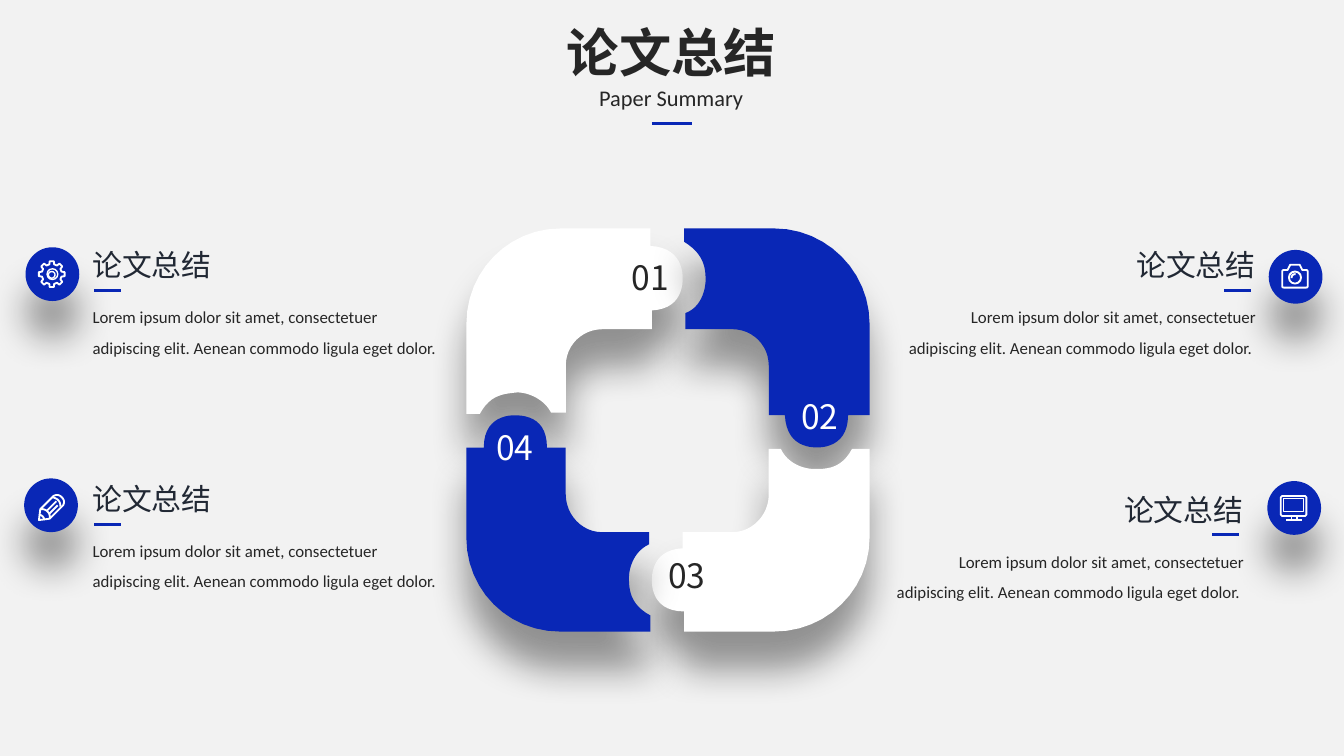
from math import cos, sin, radians
from lxml.etree import SubElement
from pptx import Presentation
from pptx.dml.color import RGBColor as RGB
from pptx.enum.shapes import MSO_CONNECTOR as LINK, MSO_SHAPE as FORM
from pptx.enum.text import MSO_AUTO_SIZE as FIT, PP_ALIGN as ALIGN
from pptx.oxml.ns import qn
from pptx.util import Inches, Pt

HUE = {"back": "F2F2F2", "blue": "0927B6", "white": "FFFFFF",
       "text": "262626", "head": "212834", "shade": "000000"}
CJK, SANS = "Noto Sans CJK SC", "Calibri"

HEAD = "论文总结"
SUB = "Paper Summary"
BODY = "Lorem ipsum dolor sit amet, consectetuer adipiscing elit. Aenean commodo ligula eget dolor."

PARTS = [
    ("01", 4.58, 1.86, "white", "text", [
        (4.17, 1.7), (4.84, 1.7), (4.84, 1.83), (5.04, 1.84, 5.08, 1.98, 5.08, 2.07),
        (5.08, 2.17, 5.04, 2.3, 4.85, 2.31), (4.85, 2.45), (4.48, 2.45),
        (4.33, 2.45, 4.21, 2.57, 4.21, 2.72), (4.21, 3.07), (4.1, 3.07),
        (4.05, 2.97, 3.93, 2.92, 3.85, 2.92), (3.76, 2.93, 3.65, 2.93, 3.57, 3.08),
        (3.47, 3.08), (3.47, 2.41), (3.47, 2.02, 3.78, 1.7, 4.17, 1.7)]),
    ("02", 5.84, 2.9, "blue", "white", [
        (5.09, 1.7), (5.76, 1.7), (6.15, 1.7, 6.47, 2.02, 6.47, 2.41), (6.47, 3.09),
        (6.31, 3.09), (6.31, 3.29, 6.17, 3.33, 6.08, 3.33),
        (5.98, 3.33, 5.85, 3.29, 5.84, 3.09), (5.72, 3.09), (5.72, 2.72),
        (5.72, 2.57, 5.6, 2.45, 5.45, 2.45), (5.1, 2.45), (5.1, 2.33),
        (5.21, 2.29, 5.25, 2.17, 5.25, 2.08), (5.25, 2, 5.24, 1.89, 5.09, 1.8), (5.09, 1.7)]),
    ("03", 4.85, 4.08, "white", "text", [
        (6.34, 3.34), (6.47, 3.34), (6.47, 4), (6.47, 4.39, 6.15, 4.7, 5.76, 4.7),
        (5.09, 4.7), (5.09, 4.55), (4.89, 4.55, 4.85, 4.41, 4.85, 4.32),
        (4.85, 4.22, 4.89, 4.09, 5.08, 4.08), (5.08, 3.96), (5.45, 3.96),
        (5.6, 3.96, 5.72, 3.83, 5.72, 3.68), (5.72, 3.34), (5.81, 3.34),
        (5.86, 3.45, 5.98, 3.49, 6.06, 3.49), (6.15, 3.49, 6.26, 3.49, 6.34, 3.34)]),
    ("04", 3.57, 3.13, "blue", "white", [
        (3.83, 3.09), (3.94, 3.09, 4.07, 3.13, 4.07, 3.33), (4.21, 3.33), (4.21, 3.68),
        (4.21, 3.83, 4.33, 3.96, 4.48, 3.96), (4.83, 3.96), (4.83, 4.05),
        (4.72, 4.1, 4.68, 4.22, 4.68, 4.3), (4.68, 4.39, 4.69, 4.5, 4.84, 4.58),
        (4.84, 4.7), (4.17, 4.7), (3.78, 4.7, 3.47, 4.39, 3.47, 4), (3.47, 3.33),
        (3.6, 3.33), (3.6, 3.13, 3.74, 3.09, 3.83, 3.09)]),
]
NOTES = [(0.59, 1.79, False), (0.59, 3.53, False), (9.35, 3.61, True), (9.44, 1.79, True)]
DISCS = [(0.19, 1.84), (0.18, 3.56), (9.44, 1.86), (9.43, 3.58)]

GEAR = [(0.385 + r * cos(radians(45 * k + a)), 2.04 + r * sin(radians(45 * k + a)))
        for k in range(8) for r, a in ((0.075, -14), (0.097, -9), (0.097, 9), (0.075, 14))]
ICONS = [
    [GEAR + GEAR[:1]],
    [[(9.55, 2.01), (9.58, 2.01), (9.6, 1.97), (9.67, 1.97), (9.69, 2.01), (9.72, 2.01),
      (9.73, 2.01, 9.73, 2.02, 9.73, 2.03), (9.73, 2.12),
      (9.73, 2.13, 9.73, 2.14, 9.72, 2.14), (9.55, 2.14),
      (9.54, 2.14, 9.54, 2.13, 9.54, 2.12), (9.54, 2.03),
      (9.54, 2.02, 9.54, 2.01, 9.55, 2.01)],
     [(9.61, 2.07), (9.61, 2.05, 9.62, 2.04, 9.64, 2.04)]],
    [[(0.29, 3.87), (0.3, 3.79), (0.4, 3.69), (0.42, 3.68, 0.44, 3.68, 0.46, 3.7),
      (0.48, 3.72, 0.48, 3.74, 0.47, 3.76), (0.37, 3.86), (0.29, 3.87)],
     [(0.3, 3.79), (0.34, 3.78, 0.38, 3.82, 0.37, 3.86)],
     [(0.39, 3.7), (0.43, 3.71, 0.45, 3.73, 0.45, 3.77)],
     [(0.35, 3.8), (0.42, 3.73)], [(0.37, 3.82), (0.43, 3.76)],
     [(0.29, 3.83), (0.31, 3.83, 0.33, 3.85, 0.33, 3.87)]],
    [[(9.54, 3.69), (9.71, 3.69), (9.72, 3.7), (9.72, 3.83), (9.71, 3.84),
      (9.54, 3.84), (9.53, 3.83), (9.53, 3.7), (9.54, 3.69)],
     [(9.61, 3.85), (9.61, 3.87)], [(9.65, 3.85), (9.65, 3.87)],
     [(9.57, 3.87), (9.69, 3.87)]],
]
RINGS = [(FORM.OVAL, 0.35, 2.0, 0.08, 0.08, 0.75), (FORM.OVAL, 0.36, 2.02, 0.05, 0.05, 0.75),
         (FORM.OVAL, 9.59, 2.02, 0.09, 0.09, 1),
         (FORM.RECTANGLE, 9.55, 3.71, 0.15, 0.1, 0.5)]

deck = Presentation()
deck.slide_width, deck.slide_height = Inches(10), Inches(10 * 9 / 16)
slide = deck.slides.add_slide(deck.slide_layouts[6])
shapes = slide.shapes


def tint(name):
    return RGB.from_string(HUE[name])


def paint(item, name):
    item.shadow.inherit = False
    item.fill.solid()
    item.fill.fore_color.rgb = tint(name)
    item.line.fill.background()


def trace(item, width):
    item.shadow.inherit = False
    item.fill.background()
    item.line.color.rgb = tint("white")
    item.line.width = Pt(width)


def shade(item):
    glow = SubElement(item._element.spPr.find(qn("a:effectLst")), qn("a:outerShdw"),
                      blurRad=str(Pt(20)), dist=str(Pt(20)), dir="5400000",
                      algn="t", rotWithShape="0")
    tone = SubElement(glow, qn("a:srgbClr"), val=HUE["shade"])
    SubElement(tone, qn("a:alpha"), val="40000")


def flat(path, steps=12):
    dots = [path[0]]
    for step in path[1:]:
        if len(step) == 2:
            dots.append(step)
            continue
        ends = [dots[-1], step[:2], step[2:4], step[4:]]
        for n in range(1, steps + 1):
            t = n / steps
            mix = ((1 - t) ** 3, 3 * t * (1 - t) ** 2, 3 * t * t * (1 - t), t ** 3)
            dots.append(tuple(sum(m * e[i] for m, e in zip(mix, ends)) for i in (0, 1)))
    return [(Inches(x), Inches(y)) for x, y in dots]


def draw(paths):
    pen = None
    for path in paths:
        dots = flat(path)
        if pen is None:
            pen = shapes.build_freeform(*dots[0])
        else:
            pen.move_to(*dots[0])
        pen.add_line_segments(dots[1:], close=dots[0] == dots[-1])
    return pen.convert_to_shape()


def write(text, box, size, face, color, align=ALIGN.LEFT, wrap=False, bold=False, space=None):
    frame = shapes.add_textbox(*map(Inches, box)).text_frame
    frame.text = text
    frame.word_wrap = wrap
    frame.auto_size = FIT.SHAPE_TO_FIT_TEXT
    para = frame.paragraphs[0]
    para.alignment = align
    if space:
        para.line_spacing = space
    font = para.runs[0].font
    font.size, font.name, font.bold = Pt(size), face, bold
    font.color.rgb = tint(color)
    SubElement(font._element, qn("a:ea"), typeface=face)


def rule(x, y, width):
    bar = shapes.add_connector(LINK.STRAIGHT, *map(Inches, (x, y, x + width, y)))
    bar.line.color.rgb = tint("blue")
    bar.line.width = Pt(1.5)
    SubElement(bar._element.spPr, qn("a:effectLst"))


slide.background.fill.solid()
slide.background.fill.fore_color.rgb = tint("back")

write(HEAD, (4.11, 0.1, 1.77, 0.57), 28, CJK, "text", ALIGN.CENTER, bold=True)
write(SUB, (4.36, 0.58, 1.27, 0.3), 12, SANS, "text", ALIGN.CENTER)
rule(4.85, 0.92, 0.3)

for label, x, y, fill, ink, path in PARTS:
    part = draw([path])
    paint(part, fill)
    shade(part)
    write(label, (x, y, 0.52, 0.4), 18, CJK, ink, ALIGN.CENTER, wrap=True)

for edge, y, right in NOTES:
    align = ALIGN.RIGHT if right else ALIGN.LEFT
    wide = 2.81 if right else 2.75
    write(HEAD, (edge - 1.1 * right, y, 1.1, 0.37), 16, CJK, "head", align)
    write(BODY + " " * right, (edge - wide * right, y + 0.37, wide, 0.53), 9, SANS, "text",
          align, wrap=True, space=1.5)
    rule(edge - 0.33 if right else edge + 0.11, y + 0.37, 0.2)

for x, y in DISCS:
    disc = shapes.add_shape(FORM.OVAL, *map(Inches, (x, y, 0.4, 0.4)))
    paint(disc, "blue")
    shade(disc)
for icon in ICONS:
    trace(draw(icon), 1)
for form, *box, width in RINGS:
    trace(shapes.add_shape(form, *map(Inches, box)), width)

deck.save("out.pptx")
